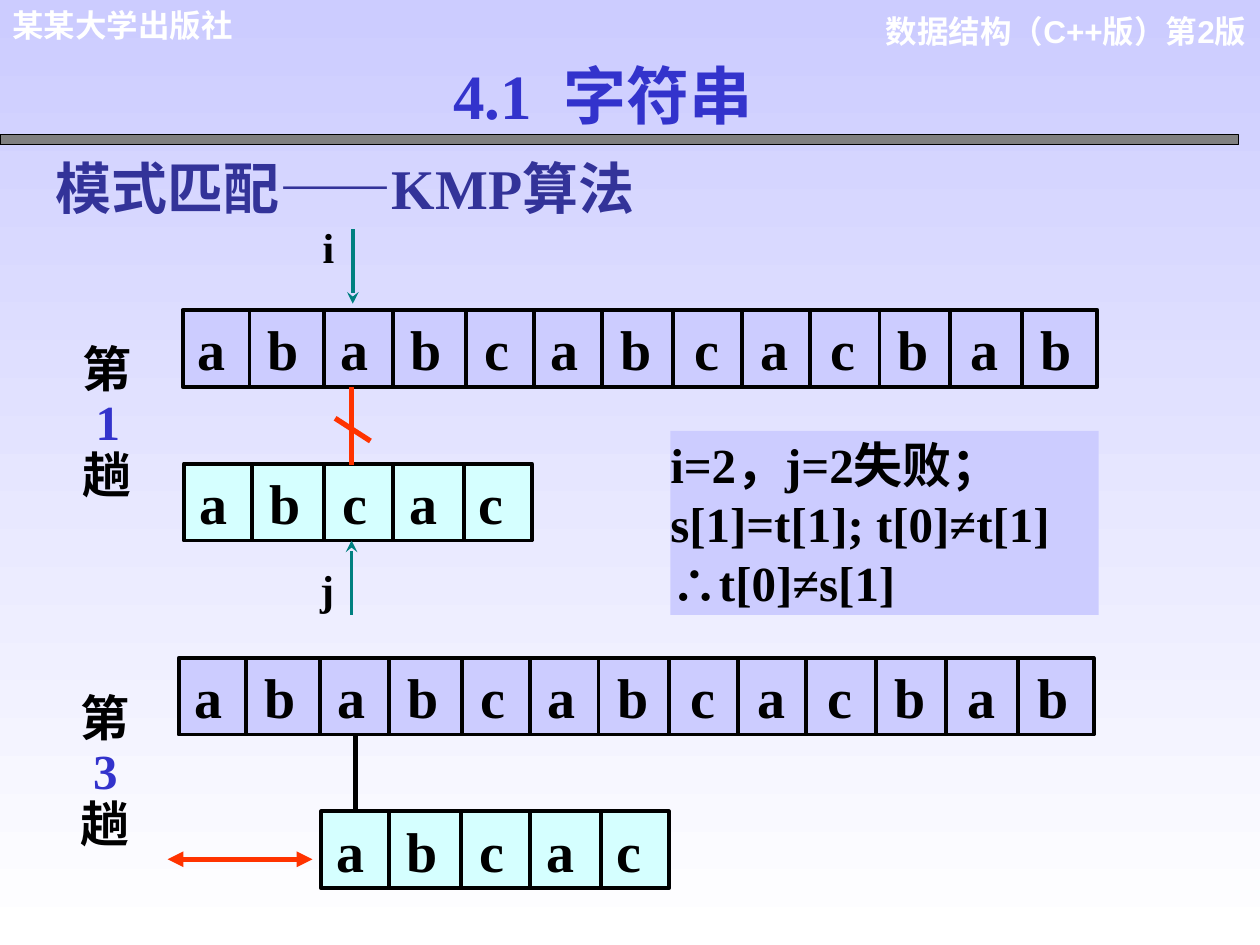
import pptx
import pptx.util
import pptx.dml.color
import pptx.enum.shapes
import pptx.enum.text
import pptx.oxml
import pptx.oxml.ns
from pptx.util import Inches

COLORS = dict(white="FFFFFF", black="000000", gray="808080", lilac="CCCCFF", mint="D5FFFF",
              blue="3333CC", navy="333399", teal="008080", red="FF3300")
SERIF, SANS = "Times New Roman", "Arial"

# Content: strings to match, with cell dividers measured from the left edge
TARGET = dict(letters="ababcabcacbab", width=7.26, fill="lilac",
              dividers=[0.53, 1.12, 1.67, 2.25, 2.79, 3.33, 3.89, 4.44, 4.98, 5.53, 6.09, 6.66])
PATTERN = dict(letters="abcac", width=2.76, fill="mint", dividers=[0.54, 1.11, 1.66, 2.22])
ROW_HEIGHT = 0.61
ROWS = [(TARGET, 1.45, 2.46), (PATTERN, 1.46, 3.68),
        (TARGET, 1.42, 5.22), (PATTERN, 2.55, 6.44)]
LETTER_SIZE = 32
LETTER_EM = dict(a=0.5, b=0.556, c=0.444)  # letter widths
GAP_EM = 0.75

PASSES = [("1", 0.56, 2.69), ("3", 0.54, 5.46)]
INDICES = [("i", 2.56, 1.71), ("j", 2.54, 4.42)]
REASON = ["i=2，j=2失败； s[1]=t[1]; t[0]≠t[1]", "∴t[0]≠s[1]"]

# from, to, colour, width, arrowhead at start, arrowhead at end
LINES = [
    ((2.79, 3.07), (2.79, 3.69), "red", 3, None, None),
    ((2.66, 3.32), (2.94, 3.5), "red", 3, None, None),
    ((2.8, 1.82), (2.8, 2.41), "teal", 2.25, None, "stealth"),
    ((2.79, 4.88), (2.79, 4.29), "teal", 2.25, None, "stealth"),
    ((2.82, 5.84), (2.82, 6.45), "black", 3, None, None),
    ((1.33, 6.82), (2.48, 6.82), "red", 3, "triangle", "triangle"),
]

prs = pptx.Presentation()
prs.slide_width, prs.slide_height = Inches(10), Inches(7.5)
s = prs.slides.add_slide(prs.slide_layouts[6])


def rgb(name):
    return pptx.dml.color.RGBColor.from_string(COLORS[name])


def xml(parent, tag, **attrs):
    el = pptx.oxml.ns.qn(tag)
    child = parent.makeelement(el, attrs)
    parent.append(child)
    return child


def set_text(sp, paragraphs, size=28, color="black", font=SERIF, align="LEFT", before=0,
             spacing=None, inset=(0.1, 0.05, 0.1, 0.05), anchor="TOP"):
    """Each paragraph is a string or a list of (text, colour) runs."""
    tf = sp.text_frame
    tf.word_wrap = True
    tf.vertical_anchor = getattr(pptx.enum.text.MSO_ANCHOR, anchor)
    tf.margin_left, tf.margin_top, tf.margin_right, tf.margin_bottom = map(Inches, inset)
    for i, runs in enumerate(paragraphs):
        p = tf.add_paragraph() if i else tf.paragraphs[0]
        p.alignment = getattr(pptx.enum.text.PP_ALIGN, align)
        p.space_before = pptx.util.Pt(before)
        if spacing:
            p.line_spacing = spacing
        for text, run_color in [(runs, color)] if isinstance(runs, str) else runs:
            r = p.add_run()
            r.text = text
            r.font.size, r.font.bold, r.font.name = pptx.util.Pt(size), True, font
            r.font.color.rgb = rgb(run_color)
    return tf


def add_text(x, y, w, h, paragraphs, **fmt):
    return set_text(s.shapes.add_textbox(*map(Inches, (x, y, w, h))), paragraphs, **fmt)


def add_rect(x, y, w, h, fill, line=None):
    sp = s.shapes.add_shape(pptx.enum.shapes.MSO_SHAPE.RECTANGLE, *map(Inches, (x, y, w, h)))
    sp.shadow.inherit = False
    sp.fill.solid()
    sp.fill.fore_color.rgb = rgb(fill)
    if line:
        sp.line.color.rgb = rgb("black")
        sp.line.width = pptx.util.Pt(line)
    else:
        sp.line.fill.background()
    return sp


def add_line(start, end, color="black", width=2.25, head=None, tail=None):
    c = s.shapes.add_connector(pptx.enum.shapes.MSO_CONNECTOR.STRAIGHT,
                               *map(Inches, (*start, *end)))
    c.line.color.rgb = rgb(color)
    c.line.width = pptx.util.Pt(width)
    ln = c.line._get_or_add_ln()
    for tag, kind in (("a:headEnd", head), ("a:tailEnd", tail)):
        if kind:
            xml(ln, tag, type=kind)
    xml(c._element.spPr, "a:effectLst")


def add_row(row, x, y):
    sp = add_rect(x, y, row["width"], ROW_HEIGHT, row["fill"], 2.25)
    tf = set_text(sp, ["\t".join(row["letters"])], size=LETTER_SIZE,
                  inset=(0.12, 0, 0.02, 0), anchor="MIDDLE")
    # Tab stops keep an equal gap after each letter
    tabs = xml(tf.paragraphs[0]._p.get_or_add_pPr(), "a:tabLst")
    stop = 0
    for letter in row["letters"][:-1]:
        stop += (LETTER_EM[letter] + GAP_EM) * LETTER_SIZE
        xml(tabs, "a:tab", pos=str(pptx.util.Pt(stop)), algn="l")
    for dx in row["dividers"]:
        add_line((x + dx, y), (x + dx, y + ROW_HEIGHT))


# Background
fill = s.background.fill
fill.gradient()
fill.gradient_angle = 270
for stop, name, position in zip(fill.gradient_stops, ("lilac", "white"), (0, 1)):
    stop.color.rgb = rgb(name)
    stop.position = position

# Header
add_text(6.92, 0.05, 3.07, 0.7, ["数据结构（C++版）第2版"], size=18, color="white",
         font=SANS, align="RIGHT", before=11.2)
add_text(0, 0, 2.71, 0.4, ["某某大学出版社"], size=18, color="white", font=SANS, before=11.2)
add_rect(0, 1.07, 9.83, 0.08, "gray", 0.75)

# Title with a wide gap after the number and a soft offset shadow
tf = add_text(2.93, 0.4, 3.71, 0.7, [[("4.1", "blue"), (" ", "blue"), ("字符串", "blue")]],
              size=36, align="CENTER", before=22.5)
for r in tf.paragraphs[0].runs:
    rPr = r._r.get_or_add_rPr()
    if r.text == " ":
        rPr.set("spc", "900")
    effects = pptx.oxml.parse_xml(
        '<a:effectLst %s><a:outerShdw dist="35921" dir="2700000"><a:srgbClr val="%s"/>'
        '</a:outerShdw></a:effectLst>' % (pptx.oxml.ns.nsdecls("a"), COLORS["gray"]))
    rPr.find(pptx.oxml.ns.qn("a:solidFill")).addnext(effects)
add_text(0.34, 1.17, 8.17, 0.64, ["模式匹配——KMP算法"], size=32, color="navy", before=20)

# Explanation
set_text(add_rect(5.32, 3.42, 3.4, 1.46, "lilac"), REASON, inset=(0, 0, 0, 0), anchor="MIDDLE")

# Strings, index markers and pass labels
for row in ROWS:
    add_row(*row)
for line in LINES:
    add_line(*line)
for name, x, y in INDICES:
    add_text(x, y, 0.25, 0.5, [name], size=24, before=15, inset=(0, 0.05, 0, 0.05))
for number, x, y in PASSES:
    tf = add_text(x, y, 0.71, 1.36, ["第", [(number, "blue")], "趟"], spacing=0.9)
    tf.paragraphs[1]._p.get_or_add_pPr().set("marL", str(Inches(0.1)))

prs.save("out.pptx")
